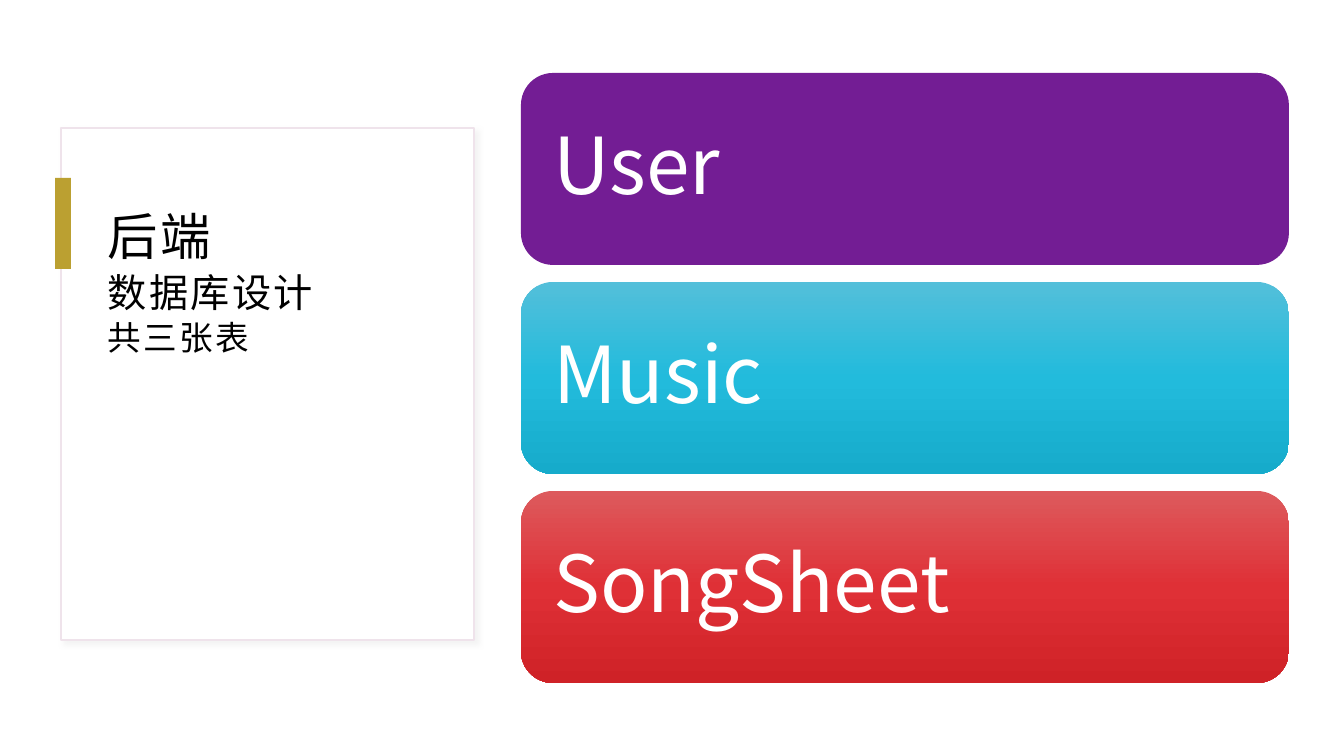
from copy import deepcopy

from pptx import Presentation, util as u
from pptx.dml.color import RGBColor
from pptx.enum import shapes, text
from pptx.oxml import parse_xml
from pptx.oxml.ns import nsdecls, qn

FONT = "Noto Sans CJK SC"
WHITE = RGBColor(0xFF, 0xFF, 0xFF)
BLACK = RGBColor(0, 0, 0)
GOLD = RGBColor(0xBB, 0xA0, 0x31)
EDGE = RGBColor(0xEF, 0xE3, 0xEB)
PLUM = [RGBColor(0x73, 0x1D, 0x94)]
CYAN = [RGBColor(0x53, 0xBF, 0xDA), RGBColor(0x22, 0xBB, 0xDC),
        RGBColor(0x16, 0xAB, 0xCB)]
RED = [RGBColor(0xDD, 0x5A, 0x5D), RGBColor(0xDF, 0x30, 0x36),
       RGBColor(0xCF, 0x22, 0x27)]

TITLE = [("后端", 36), ("数据库设计", 28), ("共三张表", 24)]
TABLES = [("User", PLUM), ("Music", CYAN), ("SongSheet", RED)]
PANEL = (61, 128, 413, 512)
BAR = (55, 178, 16, 91)
HEAD = (96, 190, 342, 388)
CARD = (521, 73, 768, 192)
STEP = 209


def px(n):
    return round(n * 914400 / 100.8)


def box(kind, rect, fill):
    shape = slide.shapes.add_shape(kind, *map(px, rect))
    shape.shadow.inherit = False
    shape.line.fill.background()
    if len(fill) == 1:
        shape.fill.solid()
        shape.fill.fore_color.rgb = fill[0]
    else:
        blend(shape.fill, fill)
    return shape


def blend(fill, tints):
    fill.gradient()
    fill.gradient_angle = 270
    first = fill._fill._gradFill.find(qn("a:gsLst"))[0]
    first.addnext(deepcopy(first))
    for i, (stop, tint) in enumerate(zip(fill.gradient_stops, tints)):
        stop.position = i / (len(tints) - 1)
        stop.color.rgb = tint


def inset(frame, left, top, right, bottom):
    frame.word_wrap = True
    frame.margin_left, frame.margin_top = px(left), px(top)
    frame.margin_right, frame.margin_bottom = px(right), px(bottom)


def style(para, size, tint):
    font = para.font
    font.size, font.name, font.color.rgb = u.Pt(size), FONT, tint
    for run in para.runs:
        props = run._r.get_or_add_rPr()
        props.append(parse_xml(f'<a:ea {nsdecls("a")} typeface="{FONT}"/>'))


deck = Presentation()
deck.slide_width, deck.slide_height = px(1344), px(756)
slide = deck.slides.add_slide(deck.slide_layouts[6])

panel = box(shapes.MSO_SHAPE.RECTANGLE, PANEL, [WHITE])
panel.line.color.rgb = EDGE
panel.line.width = u.Pt(1)
panel._element.spPr.find(qn("a:effectLst")).append(parse_xml(
    f'<a:outerShdw {nsdecls("a")} blurRad="{u.Pt(4)}" dist="{u.Pt(3)}" '
    'dir="2700000" algn="tl" rotWithShape="0"><a:srgbClr val="D9D9D9">'
    '<a:alpha val="30000"/></a:srgbClr></a:outerShdw>'))

head = slide.shapes.add_textbox(*map(px, HEAD)).text_frame
inset(head, 12, 12, 12, 10)
for i, (line, size) in enumerate(TITLE):
    para = head.paragraphs[0] if i == 0 else head.add_paragraph()
    para.text = line
    para.line_spacing = 1.05
    style(para, size, BLACK)
    para.runs[0]._r.get_or_add_rPr().set("spc", "170")

box(shapes.MSO_SHAPE.RECTANGLE, BAR, [GOLD])

left, top, wide, high = CARD
for i, (name, fill) in enumerate(TABLES):
    card = box(shapes.MSO_SHAPE.ROUNDED_RECTANGLE,
               (left, top + i * STEP, wide, high), fill)
    frame = card.text_frame
    inset(frame, 23, 23, 23, 23)
    frame.vertical_anchor = text.MSO_ANCHOR.MIDDLE
    para = frame.paragraphs[0]
    para.text = name
    para.alignment = text.PP_ALIGN.LEFT
    para.line_spacing = 0.9
    style(para, 56, WHITE)

deck.save("out.pptx")
